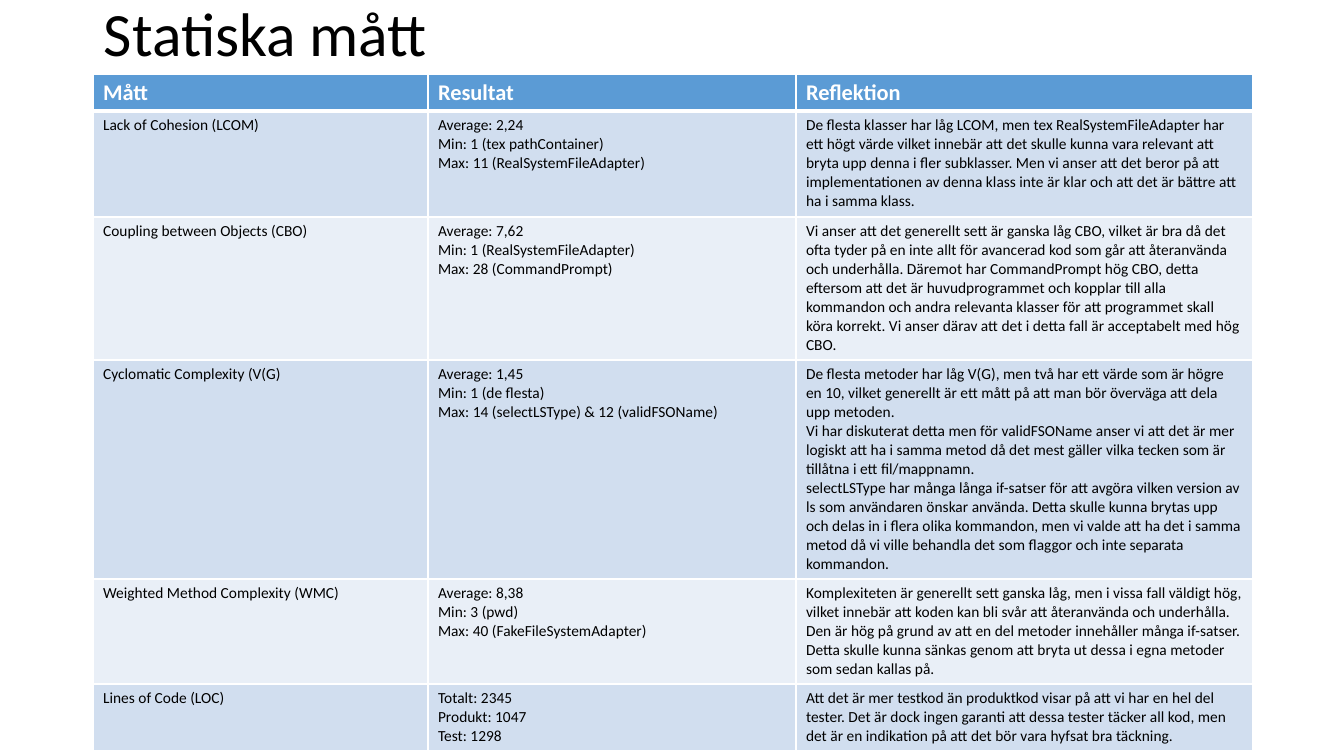
"""Builds a slide with a table of static code metrics."""
from lxml import etree
from pptx import Presentation
from pptx.dml.color import RGBColor
from pptx.enum.text import MSO_ANCHOR
from pptx.oxml.ns import qn
from pptx.util import Emu, Pt

MIDDLE = MSO_ANCHOR.MIDDLE
SCALE = 914400 / 100.8
FONT = "Calibri"
BLACK = RGBColor(0x00, 0x00, 0x00)
WHITE = RGBColor(0xFF, 0xFF, 0xFF)
HEADER_BLUE = RGBColor(0x5B, 0x9B, 0xD5)
BAND_DARK = RGBColor(0xD1, 0xDE, 0xEF)
BAND_LIGHT = RGBColor(0xE9, 0xEF, 0xF7)
THIN = 1
THICK = 3

COLUMN_WIDTHS = [335, 368, 457]
ROW_HEIGHTS = [37, 106, 143, 219, 105, 67]
METRICS = [
    ["Mått", "Resultat", "Reflektion"],
    [
        "Lack of Cohesion (LCOM)",
        "Average: 2,24\nMin: 1 (tex pathContainer)\nMax: 11 (RealSystemFileAdapter)",
        "De flesta klasser har låg LCOM, men tex RealSystemFileAdapter har ett högt värde "
        "vilket innebär att det skulle kunna vara relevant att bryta upp denna i fler "
        "subklasser. Men vi anser att det beror på att implementationen av denna klass inte "
        "är klar och att det är bättre att ha i samma klass.",
    ],
    [
        "Coupling between Objects (CBO)",
        "Average: 7,62\nMin: 1 (RealSystemFileAdapter)\nMax: 28 (CommandPrompt)",
        "Vi anser att det generellt sett är ganska låg CBO, vilket är bra då det ofta tyder på "
        "en inte allt för avancerad kod som går att återanvända och underhålla. Däremot har "
        "CommandPrompt hög CBO, detta eftersom att det är huvudprogrammet och kopplar till alla "
        "kommandon och andra relevanta klasser för att programmet skall köra korrekt. Vi anser "
        "därav att det i detta fall är acceptabelt med hög CBO.",
    ],
    [
        "Cyclomatic Complexity (V(G)",
        "Average: 1,45\nMin: 1 (de flesta)\nMax: 14 (selectLSType) & 12 (validFSOName)",
        "De flesta metoder har låg V(G), men två har ett värde som är högre en 10, vilket "
        "generellt är ett mått på att man bör överväga att dela upp metoden.\n"
        "Vi har diskuterat detta men för validFSOName anser vi att det är mer logiskt att ha i "
        "samma metod då det mest gäller vilka tecken som är tillåtna i ett fil/mappnamn.\n"
        "selectLSType har många långa if-satser för att avgöra vilken version av ls som "
        "användaren önskar använda. Detta skulle kunna brytas upp och delas in i flera olika "
        "kommandon, men vi valde att ha det i samma metod då vi ville behandla det som flaggor "
        "och inte separata kommandon.",
    ],
    [
        "Weighted Method Complexity (WMC)",
        "Average: 8,38\nMin: 3 (pwd)\nMax: 40 (FakeFileSystemAdapter)",
        "Komplexiteten är generellt sett ganska låg, men i vissa fall väldigt hög, vilket "
        "innebär att koden kan bli svår att återanvända och underhålla. Den är hög på grund av "
        "att en del metoder innehåller många if-satser. Detta skulle kunna sänkas genom att "
        "bryta ut dessa i egna metoder som sedan kallas på.",
    ],
    [
        "Lines of Code (LOC)",
        "Totalt: 2345\nProdukt: 1047\nTest: 1298",
        "Att det är mer testkod än produktkod visar på att vi har en hel del tester. Det är "
        "dock ingen garanti att dessa tester täcker all kod, men det är en indikation på att "
        "det bör vara hyfsat bra täckning.",
    ],
]


def px(length):
    """Turn pixels into EMU."""
    return Emu(round(length * SCALE))


def write_text(text_frame, text, size, color=BLACK, bold=False, line_spacing=None):
    """Write one formatted paragraph for each line of text."""
    text_frame.word_wrap = True
    text_frame.text = text
    for paragraph in text_frame.paragraphs:
        paragraph.line_spacing = line_spacing
        font = paragraph.runs[0].font
        font.name = FONT
        font.size = Pt(size)
        font.bold = bold
        font.color.rgb = color


def add_title(slide, text, left, top, width, height):
    """Add the slide title."""
    shape = slide.shapes.add_textbox(px(left), px(top), px(width), px(height))
    shape.text_frame.vertical_anchor = MIDDLE
    write_text(shape.text_frame, text, size=44, line_spacing=0.9)


def set_borders(cell, top, bottom):
    """Draw white borders with the given top and bottom widths in points."""
    properties = cell._tc.get_or_add_tcPr()
    for tag, width in (("a:lnL", THIN), ("a:lnR", THIN), ("a:lnT", top), ("a:lnB", bottom)):
        line = etree.SubElement(properties, qn(tag), w=str(Pt(width)))
        fill = etree.SubElement(line, qn("a:solidFill"))
        etree.SubElement(fill, qn("a:srgbClr"), val=str(WHITE))


def fill_cell(cell, text, row_index):
    """Fill a cell in the style of its row."""
    header = row_index == 0
    set_borders(cell, THICK if row_index == 1 else THIN, THICK if header else THIN)
    cell.fill.solid()
    if header:
        cell.fill.fore_color.rgb = HEADER_BLUE
        write_text(cell.text_frame, text, size=16, color=WHITE, bold=True)
    else:
        cell.fill.fore_color.rgb = BAND_DARK if row_index % 2 else BAND_LIGHT
        write_text(cell.text_frame, text, size=11)


def add_metrics_table(slide, left, top):
    """Add the table of metrics."""
    table = slide.shapes.add_table(
        len(ROW_HEIGHTS), len(COLUMN_WIDTHS), px(left), px(top),
        px(sum(COLUMN_WIDTHS)), px(sum(ROW_HEIGHTS)),
    ).table
    for column, width in zip(table.columns, COLUMN_WIDTHS):
        column.width = px(width)
    for row_index, (row, height) in enumerate(zip(table.rows, ROW_HEIGHTS)):
        row.height = px(height)
        for cell, text in zip(row.cells, METRICS[row_index]):
            fill_cell(cell, text, row_index)


def main():
    """Build and save the presentation."""
    presentation = Presentation()
    presentation.slide_width = px(1344)
    presentation.slide_height = px(756)
    slide = presentation.slides.add_slide(presentation.slide_layouts[6])
    add_title(slide, "Statiska mått", 94, 0, 1159, 74)
    add_metrics_table(slide, 93, 74)
    presentation.save("out.pptx")


if __name__ == "__main__":
    main()
